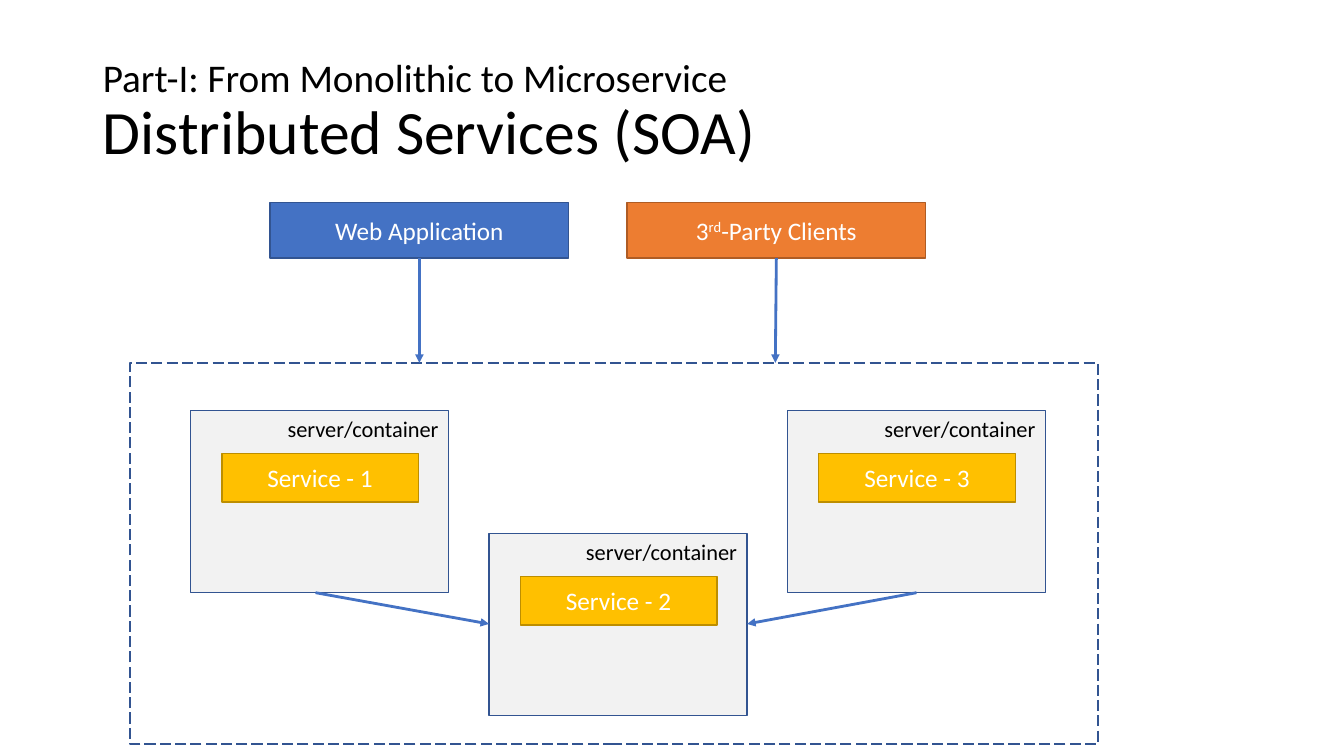
from dataclasses import dataclass

from lxml import etree
from pptx import Presentation
from pptx.dml.color import RGBColor
from pptx.enum import dml, shapes, text
from pptx.oxml import ns
from pptx.util import Inches, Pt


@dataclass(frozen=True)
class Theme:
    font: str = "Calibri"
    ink: str = "000000"
    paper: str = "FFFFFF"
    blue: str = "4472C4"
    blue_edge: str = "325491"
    orange: str = "ED7D31"
    orange_edge: str = "AF5C24"
    gold: str = "FFC000"
    gold_edge: str = "BD8E00"
    grey: str = "F2F2F2"
    kicker: int = 28
    title: int = 44
    label: int = 18
    caption: int = 16
    edge: int = 1
    arrow: int = 2


class Diagram:
    def __init__(self, slide, theme):
        self.slide = slide
        self.theme = theme

    def add_words(self, paragraph, words, size, color, superscript=False):
        run = paragraph.add_run()
        run.text = words
        for name, value in {"name": self.theme.font, "size": Pt(size)}.items():
            setattr(run.font, name, value)
        run.font.color.rgb = RGBColor.from_string(color)
        if superscript:
            run.font._element.set("baseline", "30000")

    def title(self, kicker, heading):
        title = self.slide.shapes.title
        place = {"left": 0.92, "top": 0.4, "width": 11.5, "height": 1.45}
        for name, value in place.items():
            setattr(title, name, Inches(value))
        frame = title.text_frame
        frame_format = {"word_wrap": True, "auto_size": text.MSO_AUTO_SIZE.NONE,
                        "vertical_anchor": text.MSO_ANCHOR.MIDDLE}
        for name, value in frame_format.items():
            setattr(frame, name, value)
        paragraph = frame.paragraphs[0]
        paragraph.alignment = text.PP_ALIGN.LEFT
        paragraph.line_spacing = 0.9
        self.add_words(paragraph, kicker, self.theme.kicker, self.theme.ink)
        paragraph.add_line_break()
        self.add_words(paragraph, heading, self.theme.title, self.theme.ink)

    def box(self, left, top, width, height, edge, fill=None):
        box = self.slide.shapes.add_shape(
            shapes.MSO_SHAPE.RECTANGLE, *map(Inches, (left, top, width, height)))
        box.shadow.inherit = False
        if fill:
            box.fill.solid()
            box.fill.fore_color.rgb = RGBColor.from_string(fill)
        else:
            box.fill.background()
        box.line.color.rgb = RGBColor.from_string(edge)
        box.line.width = Pt(self.theme.edge)
        return box

    def block(self, place, fill, edge, *parts):
        """Filled box with a centred label; every second part is superscript."""
        frame = self.box(*place, edge, fill).text_frame
        frame.vertical_anchor = text.MSO_ANCHOR.MIDDLE
        paragraph = frame.paragraphs[0]
        paragraph.alignment = text.PP_ALIGN.CENTER
        for index, part in enumerate(parts):
            self.add_words(paragraph, part, self.theme.label, self.theme.paper,
                           superscript=index % 2 == 1)

    def server(self, left, top, service):
        theme = self.theme
        frame = self.box(left, top, 2.56, 1.81, theme.blue_edge, theme.grey).text_frame
        frame.vertical_anchor = text.MSO_ANCHOR.TOP
        paragraph = frame.paragraphs[0]
        paragraph.alignment = text.PP_ALIGN.RIGHT
        self.add_words(paragraph, "server/container", theme.caption, theme.ink)
        self.block((left + 0.31, top + 0.43, 1.95, 0.48),
                   theme.gold, theme.gold_edge, service)

    def boundary(self, left, top, width, height):
        outline = self.box(left, top, width, height, self.theme.blue_edge)
        outline.line.dash_style = dml.MSO_LINE.LONG_DASH

    def arrow(self, start, end):
        arrow = self.slide.shapes.add_connector(
            shapes.MSO_CONNECTOR.STRAIGHT, *map(Inches, (*start, *end)))
        arrow.line.color.rgb = RGBColor.from_string(self.theme.blue)
        arrow.line.width = Pt(self.theme.arrow)
        etree.SubElement(arrow.line._get_or_add_ln(), ns.qn("a:tailEnd"), type="triangle")
        etree.SubElement(arrow._element.spPr, ns.qn("a:effectLst"))


def main():
    deck = Presentation()
    deck.slide_width, deck.slide_height = Inches(13.33), Inches(7.5)
    theme = Theme()
    soa = Diagram(deck.slides.add_slide(deck.slide_layouts[5]), theme)

    soa.title("Part-I: From Monolithic to Microservice", "Distributed Services (SOA)")
    for index, top in enumerate((4.07, 5.29, 4.07)):
        soa.server(1.89 + 2.96 * index, top, f"Service - {index + 1}")

    soa.block((2.68, 2.01, 2.96, 0.55), theme.blue, theme.blue_edge, "Web Application")
    soa.block((6.22, 2.01, 2.96, 0.55), theme.orange, theme.orange_edge,
              "3", "rd", "-Party Clients")
    soa.boundary(1.29, 3.6, 9.6, 3.78)

    for start, end in (
        ((4.16, 2.56), (4.16, 3.6)),
        ((7.7, 2.56), (7.69, 3.6)),
        ((9.09, 5.88), (7.41, 6.19)),
        ((3.13, 5.88), (4.85, 6.19)),
    ):
        soa.arrow(start, end)
    deck.save("out.pptx")


if __name__ == "__main__":
    main()
